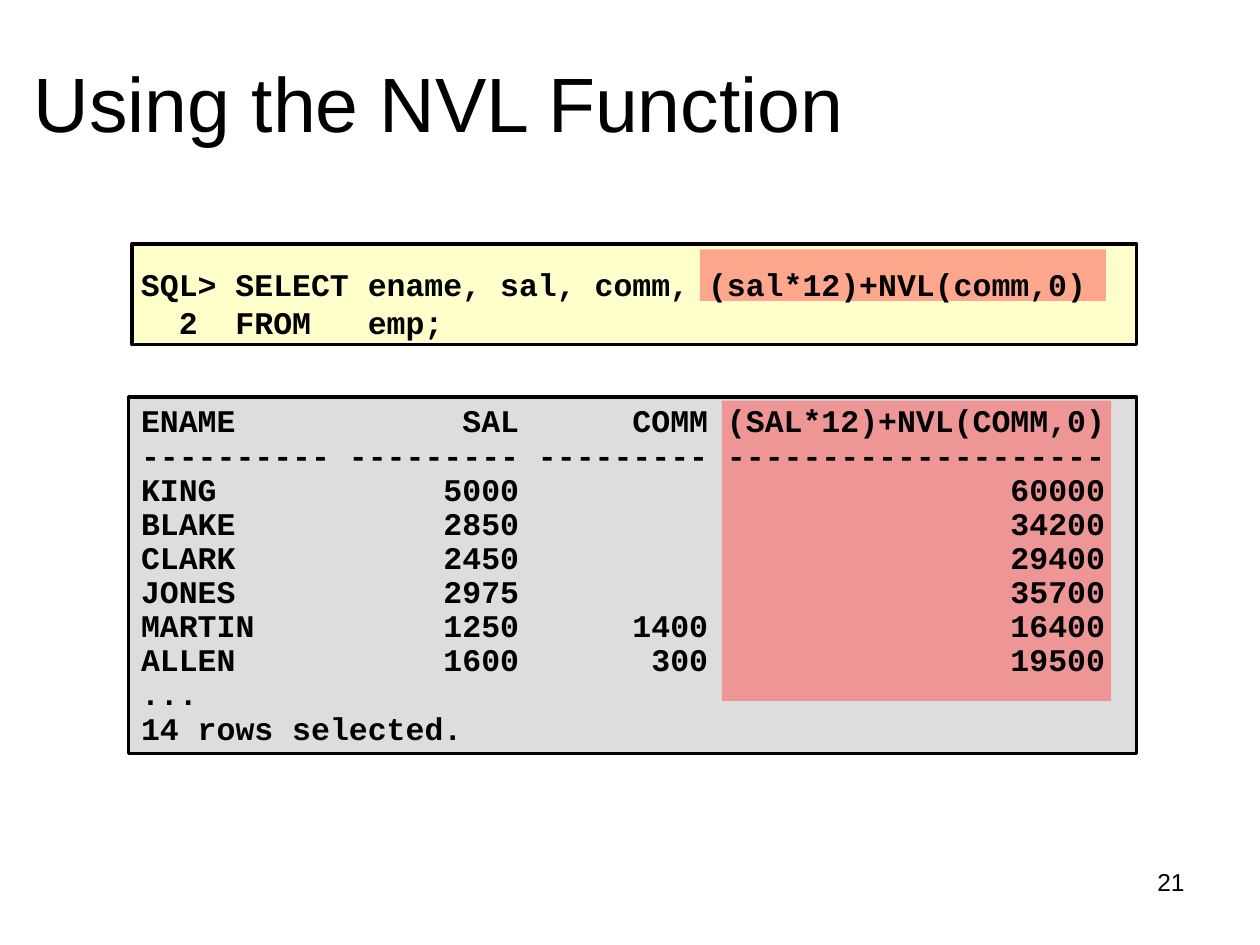
from dataclasses import dataclass

from lxml import etree
from pptx import Presentation
from pptx.dml.color import RGBColor
from pptx.enum.shapes import MSO_SHAPE
from pptx.enum.text import MSO_ANCHOR, MSO_AUTO_SIZE, PP_ALIGN
from pptx.oxml.ns import qn
from pptx.util import Pt

RECTANGLE = MSO_SHAPE.RECTANGLE
TOP, MIDDLE = MSO_ANCHOR.TOP, MSO_ANCHOR.MIDDLE
LEFT, RIGHT = PP_ALIGN.LEFT, PP_ALIGN.RIGHT
NO_AUTO_SIZE = MSO_AUTO_SIZE.NONE
TITLE_ONLY = 5


@dataclass(frozen=True)
class Theme:
    ink: str = "000000"
    query_fill: str = "FFFFCC"
    result_fill: str = "DDDDDD"
    highlight: str = "FF5050"
    text_font: str = "Arial"
    code_font: str = "Courier New"
    title_size: int = 44
    code_size: int = 18
    number_size: int = 14
    border: int = 2


QUERY = """SQL> SELECT ename, sal, comm, (sal*12)+NVL(comm,0)
  2  FROM   emp;"""

EMPLOYEES = [
    ("KING", 5000, "", 60000),
    ("BLAKE", 2850, "", 34200),
    ("CLARK", 2450, "", 29400),
    ("JONES", 2975, "", 35700),
    ("MARTIN", 1250, 1400, 16400),
    ("ALLEN", 1600, 300, 19500),
]


def result_text():
    header = ("ENAME", "SAL", "COMM", "(SAL*12)+NVL(COMM,0)")
    rule = ("-" * 10, "-" * 9, "-" * 9, "-" * 20)
    lines = [
        f"{name:<10} {salary:>9} {commission:>9} {total:>20}"
        for name, salary, commission, total in [header, rule, *EMPLOYEES]
    ]
    return "\n".join([*lines, "...", "14 rows selected."])


def write_text(frame, text, *, font, size, color, bold=False, align=LEFT,
               anchor=TOP, line_spacing=None):
    frame.word_wrap = True
    frame.auto_size = NO_AUTO_SIZE
    frame.vertical_anchor = anchor
    frame.text = text
    for paragraph in frame.paragraphs:
        paragraph.alignment = align
        if line_spacing:
            paragraph.line_spacing = Pt(line_spacing)
        for run in paragraph.runs:
            run.font.name = font
            run.font.size = Pt(size)
            run.font.bold = bold
            run.font.color.rgb = RGBColor.from_string(color)


class SlideBuilder:
    def __init__(self, slide, theme):
        self.slide = slide
        self.theme = theme

    def title(self, text, left, top, width, height):
        shape = self.slide.shapes.title
        shape.left, shape.top = Pt(left), Pt(top)
        shape.width, shape.height = Pt(width), Pt(height)
        write_text(shape.text_frame, text, font=self.theme.text_font,
                   size=self.theme.title_size, color=self.theme.ink)

    def panel(self, fill, left, top, width, height):
        shape = self.slide.shapes.add_shape(
            RECTANGLE, Pt(left), Pt(top), Pt(width), Pt(height))
        shape.shadow.inherit = False
        shape.fill.solid()
        shape.fill.fore_color.rgb = RGBColor.from_string(fill)
        shape.line.color.rgb = RGBColor.from_string(self.theme.ink)
        shape.line.width = Pt(self.theme.border)
        return shape

    def highlight(self, left, top, width, height):
        shape = self.panel(self.theme.highlight, left, top, width, height)
        shape.line.fill.background()
        color = shape.fill._xPr.find(qn("a:solidFill")).find(qn("a:srgbClr"))
        etree.SubElement(color, qn("a:alpha"), val="50000")

    def text_box(self, text, left, top, width, height, **text_format):
        shape = self.slide.shapes.add_textbox(
            Pt(left), Pt(top), Pt(width), Pt(height))
        write_text(shape.text_frame, text, color=self.theme.ink, **text_format)

    def code(self, text, left, top, width, height, **text_format):
        self.text_box(text, left, top, width, height, bold=True,
                      font=self.theme.code_font, size=self.theme.code_size,
                      **text_format)


def main():
    theme = Theme()
    presentation = Presentation()
    presentation.slide_width, presentation.slide_height = Pt(720), Pt(540)
    slide = presentation.slides.add_slide(
        presentation.slide_layouts[TITLE_ONLY])
    builder = SlideBuilder(slide, theme)

    builder.title("Using the NVL Function", 12, 28, 612, 90)
    builder.panel(theme.query_fill, 75.5, 139.5, 574, 57.5)
    builder.panel(theme.result_fill, 73.5, 227, 576, 203.5)
    builder.highlight(400, 142.5, 232, 29.5)
    builder.highlight(412.5, 229, 222.5, 171.5)
    builder.code(QUERY, 73.5, 134, 576, 78.5, anchor=MIDDLE, line_spacing=21.7)
    builder.code(result_text(), 73.5, 228, 574, 201.5, line_spacing=19.5)
    builder.text_box("21", 516, 492, 168, 37.5, font=theme.text_font,
                     size=theme.number_size, align=RIGHT)

    presentation.save("out.pptx")


if __name__ == "__main__":
    main()
